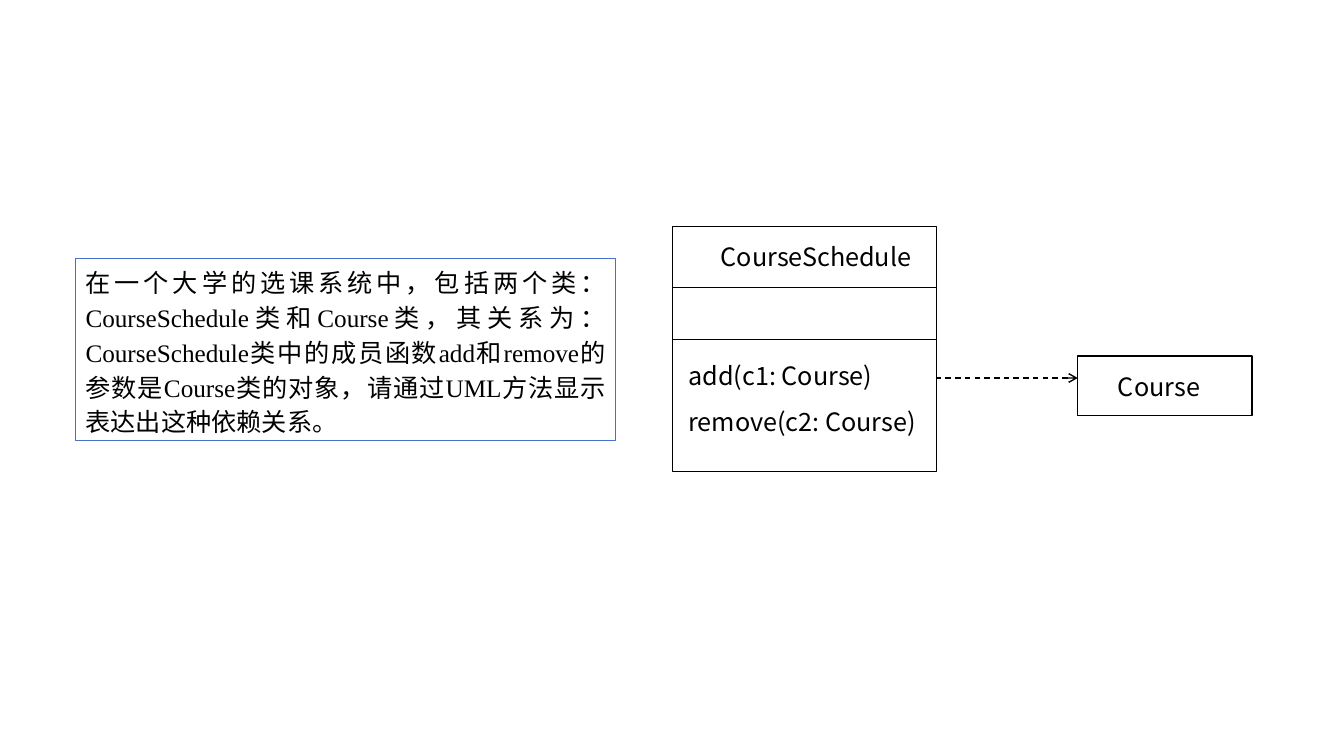
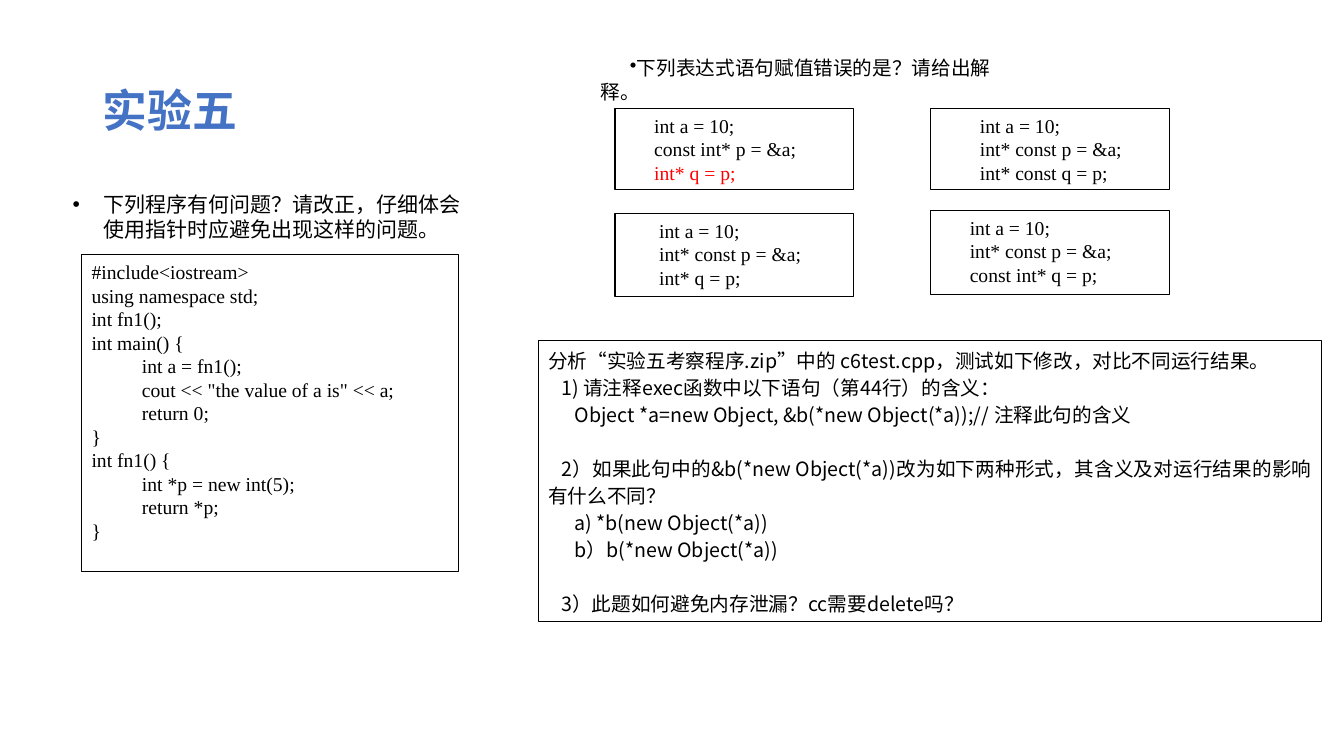
from lxml.etree import SubElement
from pptx import Presentation
from pptx.dml.color import RGBColor
from pptx.enum.dml import MSO_LINE
from pptx.enum.shapes import MSO_CONNECTOR, MSO_SHAPE
from pptx.enum.text import MSO_ANCHOR, MSO_AUTO_SIZE, PP_ALIGN
from pptx.oxml.ns import qn
from pptx.util import Inches, Pt

COLORS = {"ink": "000000", "accent": "4472C4", "paper": "FFFFFF", "wrong": "FF0000"}
SANS, SERIF = "Noto Sans CJK SC", "Times New Roman"

TASK = ("在一个大学的选课系统中，包括两个类：CourseSchedule类和Course类，其关系为："
        "CourseSchedule类中的成员函数add和remove的参数是Course类的对象，"
        "请通过UML方法显示表达出这种依赖关系。")

PROGRAM = """#include<iostream>
using namespace std;
int fn1();
int main() {
\tint a = fn1();
\tcout << "the value of a is" << a;
\treturn 0;
}
int fn1() {
\tint *p = new int(5);
\treturn *p;
}"""

# left, top, height, indent, lines after the shared first one
SNIPPETS = [
    (6.1, 1.08, 0.8, 0.29, ["const int* p = &a;", "int* q = p;"]),
    (6.1, 2.12, 0.82, 0.34, ["int* const p = &a;", "int* q = p;"]),
    (9.23, 1.08, 0.8, 0.39, ["int* const p = &a;", "int* const q = p;"]),
    (9.23, 2.09, 0.83, 0.29, ["int* const p = &a;", "const int* q = p;"]),
]

# indent, space before in points, text
QUESTIONS = [
    (0, 0, "分析“实验五考察程序.zip”中的 c6test.cpp，测试如下修改，对比不同运行结果。"),
    (0.13, 0, "1) 请注释exec函数中以下语句（第44行）的含义："),
    (0.26, 0, "Object *a=new Object, &b(*new Object(*a));// 注释此句的含义"),
    (0.13, 19.3, "2）如果此句中的&b(*new Object(*a))改为如下两种形式，"
                 "其含义及对运行结果的影响有什么不同？"),
    (0.26, 0, "a) *b(new Object(*a))"),
    (0.26, 0, "b）b(*new Object(*a))"),
    (0.13, 19.3, "3）此题如何避免内存泄漏？cc需要delete吗？"),
]


def rgb(name):
    """Look up a named colour."""
    return RGBColor.from_string(COLORS[name])


def style(par, size, font=SANS, color="ink", bold=False, spacing=1.0, align=PP_ALIGN.LEFT):
    """Set the font, spacing and alignment of a paragraph."""
    par.font.size = Pt(size)
    par.font.bold = bold
    par.font.color.rgb = rgb(color)
    par.font.name = font
    props = par._p.get_or_add_pPr().get_or_add_defRPr()
    SubElement(props, qn("a:ea")).set("typeface", SANS)
    par.line_spacing, par.alignment = spacing, align
    par.space_before = Pt(0)


def indent(par, first, left=0, bullet=False):
    """Indent a paragraph and give it a bullet if asked."""
    props = par._p.get_or_add_pPr()
    props.set("marL", str(Inches(left)))
    props.set("indent", str(Inches(first)))
    if bullet:
        mark = props.makeelement(qn("a:buChar"), {"char": "•"})
        props.find(qn("a:defRPr")).addprevious(mark)


def place(shape, left, top, width, height):
    """Move and size a shape in inches."""
    shape.left, shape.top = Inches(left), Inches(top)
    shape.width, shape.height = Inches(width), Inches(height)


def write(shape, lines, anchor=MSO_ANCHOR.TOP):
    """Fill a shape with lines and return their paragraphs."""
    frame = shape.text_frame
    frame.word_wrap = True
    frame.auto_size = MSO_AUTO_SIZE.NONE
    frame.vertical_anchor = anchor
    frame.text = "\n".join(lines)
    return frame.paragraphs


def box(slide, left, top, width, height, line="ink", weight=0.75, fill=None):
    """Draw an outlined rectangle."""
    shape = slide.shapes.add_shape(
        MSO_SHAPE.RECTANGLE, Inches(left), Inches(top), Inches(width), Inches(height))
    shape.shadow.inherit = False
    shape.line.color.rgb = rgb(line)
    shape.line.width = Pt(weight)
    if fill:
        shape.fill.solid()
        shape.fill.fore_color.rgb = rgb(fill)
    else:
        shape.fill.background()
    return shape


def label(slide, text, left, top, width, height=0.4, size=18):
    """Add a one-paragraph text box and return the paragraph."""
    shape = slide.shapes.add_textbox(
        Inches(left), Inches(top), Inches(width), Inches(height))
    par = write(shape, [text])[0]
    style(par, size)
    return par


def rule(slide, left, right, top, weight=0.5, arrow=False):
    """Draw a level line, or a dashed arrow to the right."""
    link = slide.shapes.add_connector(
        MSO_CONNECTOR.STRAIGHT, Inches(left), Inches(top), Inches(right), Inches(top))
    link.line.color.rgb = rgb("ink")
    link.line.width = Pt(weight)
    if arrow:
        link.line.dash_style = MSO_LINE.DASH
        SubElement(link.line._get_or_add_ln(), qn("a:tailEnd")).set("type", "arrow")
    SubElement(link._element.spPr, qn("a:effectLst"))


def code(slide, lines, left, top, width, height, first=0):
    """Draw a white box of code and return its paragraphs."""
    pars = write(box(slide, left, top, width, height, fill="paper"), lines)
    for par in pars:
        style(par, 14, SERIF)
        indent(par, first)
    return pars


def uml(deck):
    """Build the slide on class dependency."""
    slide = deck.slides.add_slide(deck.slide_layouts[6])
    task = box(slide, 0.75, 2.56, 5.36, 1.81, line="accent")
    style(write(task, [TASK])[0], 18, SERIF, spacing=1.15, align=PP_ALIGN.JUSTIFY)

    box(slide, 6.67, 2.25, 2.62, 2.43, weight=1)
    for top in (2.85, 3.37):
        rule(slide, 6.67, 9.28, top)
    label(slide, "CourseSchedule", 7.05, 2.34, 2.23)
    label(slide, "add(c1: Course)", 6.73, 3.53, 3.76)
    label(slide, "remove(c2: Course)", 6.73, 3.98, 3.76)

    rule(slide, 9.28, 10.69, 3.75, weight=1, arrow=True)
    box(slide, 10.69, 3.53, 1.73, 0.59, weight=1)
    label(slide, "Course", 10.99, 3.63, 1.43)


def lab(deck):
    """Build the slide of pointer exercises."""
    slide = deck.slides.add_slide(deck.slide_layouts[1])
    title, body = slide.placeholders
    place(title, 0.92, 0.4, 11.5, 1.45)
    head = write(title, ["实验五"], MSO_ANCHOR.MIDDLE)[0]
    style(head, 32, color="accent", bold=True, spacing=0.9)

    place(body, 0.62, 1.85, 4.1, 0.86)
    ask = write(body, ["下列程序有何问题？请改正，仔细体会使用指针时应避免出现这样的问题。"])[0]
    style(ask, 15)
    indent(ask, -0.31, 0.31, bullet=True)
    code(slide, PROGRAM.split("\n"), 0.81, 2.53, 3.74, 3.14)

    for left, top, height, first, lines in SNIPPETS:
        pars = code(slide, ["int a = 10;"] + lines, left, top, 2.37, height, first)
        if lines == SNIPPETS[0][-1]:
            pars[-1].font.color.rgb = rgb("wrong")
    ask = label(slide, "下列表达式语句赋值错误的是？请给出解释。", 5.86, 0.51, 4.16, 0.58, 14)
    indent(ask, 0.29, bullet=True)

    panel = box(slide, 5.34, 3.38, 7.77, 2.79)
    pars = write(panel, [text for _, _, text in QUESTIONS])
    for par, (first, gap, _) in zip(pars, QUESTIONS):
        style(par, 14, spacing=1.15, align=PP_ALIGN.JUSTIFY)
        indent(par, first)
        par.space_before = Pt(gap)


def main():
    """Build and save the deck."""
    deck = Presentation()
    deck.slide_width, deck.slide_height = Inches(13.33), Inches(7.5)
    uml(deck)
    lab(deck)
    deck.save("out.pptx")


main()
